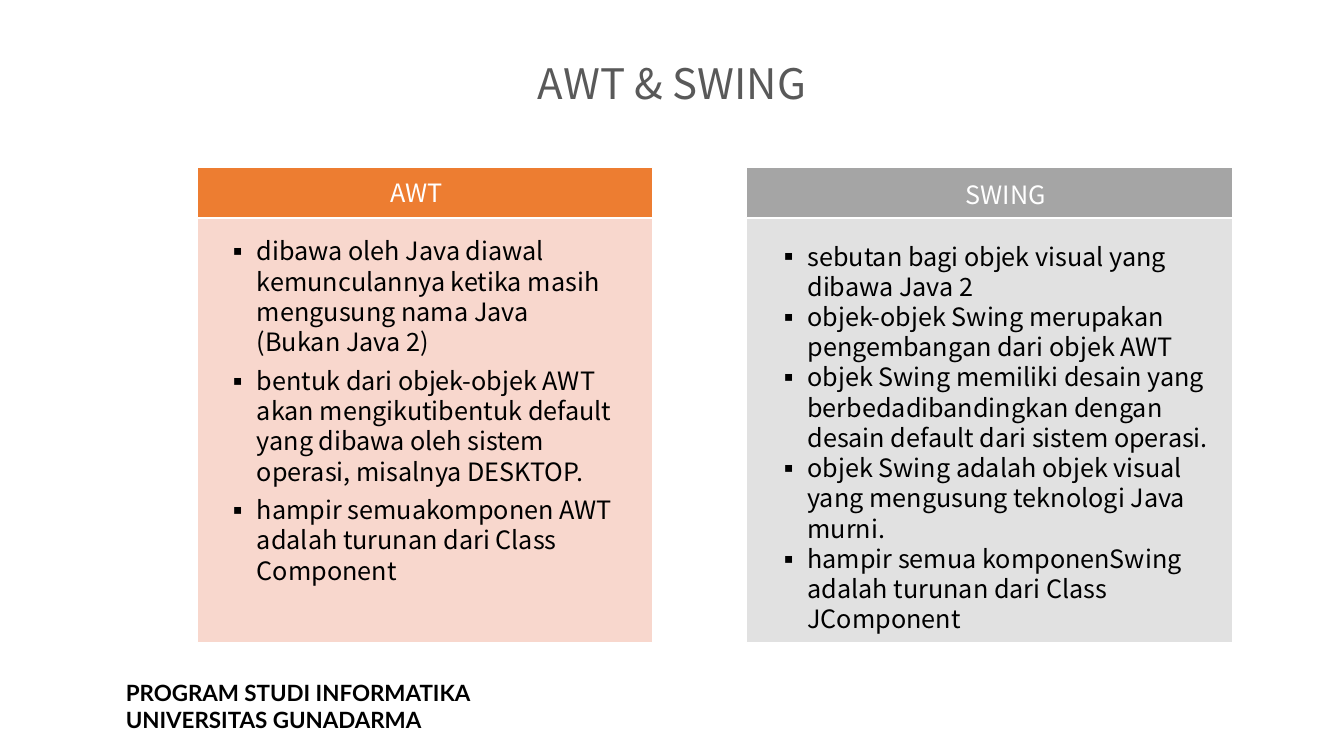
from lxml.etree import SubElement
from pptx import Presentation
from pptx.dml.color import RGBColor
from pptx.enum.shapes import MSO_SHAPE
from pptx.enum.text import PP_ALIGN
from pptx.oxml.ns import qn
from pptx.util import Inches, Pt

THEME = {
    "font": "Noto Sans CJK SC", "foot_font": "Lato",
    "title": 30, "body": 18, "foot": 16, "pitch": 1.2,
    "grey": "595959", "black": "000000", "white": "FFFFFF",
}
TITLE = "AWT & SWING"
FOOT = ["PROGRAM STUDI INFORMATIKA", "UNIVERSITAS GUNADARMA"]
PANELS = [
    {
        "name": "AWT", "left": 1.96, "width": 4.51,
        "head": "ED7D31", "fill": "F8D7CD",
        "label": (3.77, 1.71, 0.77, 0.4), "list": (2.14, 2.29, 4.03, 3.6),
        "after": 6,
        "items": [
            "dibawa oleh Java diawal kemunculannya ketika masih mengusung nama Java (Bukan Java 2)",
            "bentuk dari objek-objek AWT akan mengikutibentuk default yang dibawa oleh sistem operasi, misalnya DESKTOP.",
            "hampir semuakomponen AWT adalah turunan dari Class Component",
        ],
    },
    {
        "name": "SWING", "left": 7.4, "width": 4.83,
        "head": "A5A5A5", "fill": "E1E1E1",
        "label": (9.48, 1.73, 1.04, 0.4), "list": (7.6, 2.34, 4.51, 3.74),
        "after": 0,
        "items": [
            "sebutan bagi objek visual yang dibawa Java 2",
            "objek-objek Swing merupakan pengembangan dari objek AWT",
            "objek Swing memiliki desain yang berbedadibandingkan dengan desain default dari sistem operasi.",
            "objek Swing adalah objek visual yang mengusung teknologi Java murni.",
            "hampir semua komponenSwing adalah turunan dari Class JComponent",
        ],
    },
]
BANDS = [("head", 1.66, 0.5), ("fill", 2.17, 4.2)]
INDENT = Inches(0.31)


def add_bullet(para):
    props = para._p.get_or_add_pPr()
    props.set("marL", str(INDENT))
    props.set("indent", str(-INDENT))
    SubElement(props, qn("a:buFont")).set("typeface", THEME["font"])
    SubElement(props, qn("a:buChar")).set("char", "▪")


def add_text(slide, area, lines, size, color, font=THEME["font"], bold=False,
             align=PP_ALIGN.LEFT, wrap=True, bullet=False, after=0):
    frame = slide.shapes.add_textbox(*map(Inches, area)).text_frame
    frame.word_wrap = wrap
    for i, line in enumerate(lines):
        para = frame.paragraphs[0] if i == 0 else frame.add_paragraph()
        if bullet:
            add_bullet(para)
        para.alignment = align
        para.line_spacing = Pt(size * THEME["pitch"])
        para.space_after = Pt(after)
        run = para.add_run()
        run.text = line
        run.font.name = font
        run.font.size = Pt(size)
        run.font.bold = bold
        run.font.color.rgb = RGBColor.from_string(color)


def add_band(slide, area, color):
    band = slide.shapes.add_shape(MSO_SHAPE.RECTANGLE, *map(Inches, area))
    band.shadow.inherit = False
    band.fill.solid()
    band.fill.fore_color.rgb = RGBColor.from_string(color)
    band.line.color.rgb = RGBColor.from_string(THEME["white"])
    band.line.width = Pt(0.75)


def main():
    deck = Presentation()
    deck.slide_width, deck.slide_height = Inches(13.33), Inches(7.5)
    slide = deck.slides.add_slide(deck.slide_layouts[6])

    add_text(slide, (1.15, 6.69, 6.56, 0.64), FOOT, THEME["foot"],
             THEME["black"], font=THEME["foot_font"], bold=True)
    add_text(slide, (1.96, 0.52, 9.41, 0.61), [TITLE], THEME["title"],
             THEME["grey"], align=PP_ALIGN.CENTER)
    for panel in PANELS:
        for key, top, height in BANDS:
            add_band(slide, (panel["left"], top, panel["width"], height), panel[key])
        add_text(slide, panel["label"], [panel["name"]], THEME["body"],
                 THEME["white"], wrap=False)
        add_text(slide, panel["list"], panel["items"], THEME["body"],
                 THEME["black"], bullet=True, after=panel["after"])
    deck.save("out.pptx")


if __name__ == "__main__":
    main()
